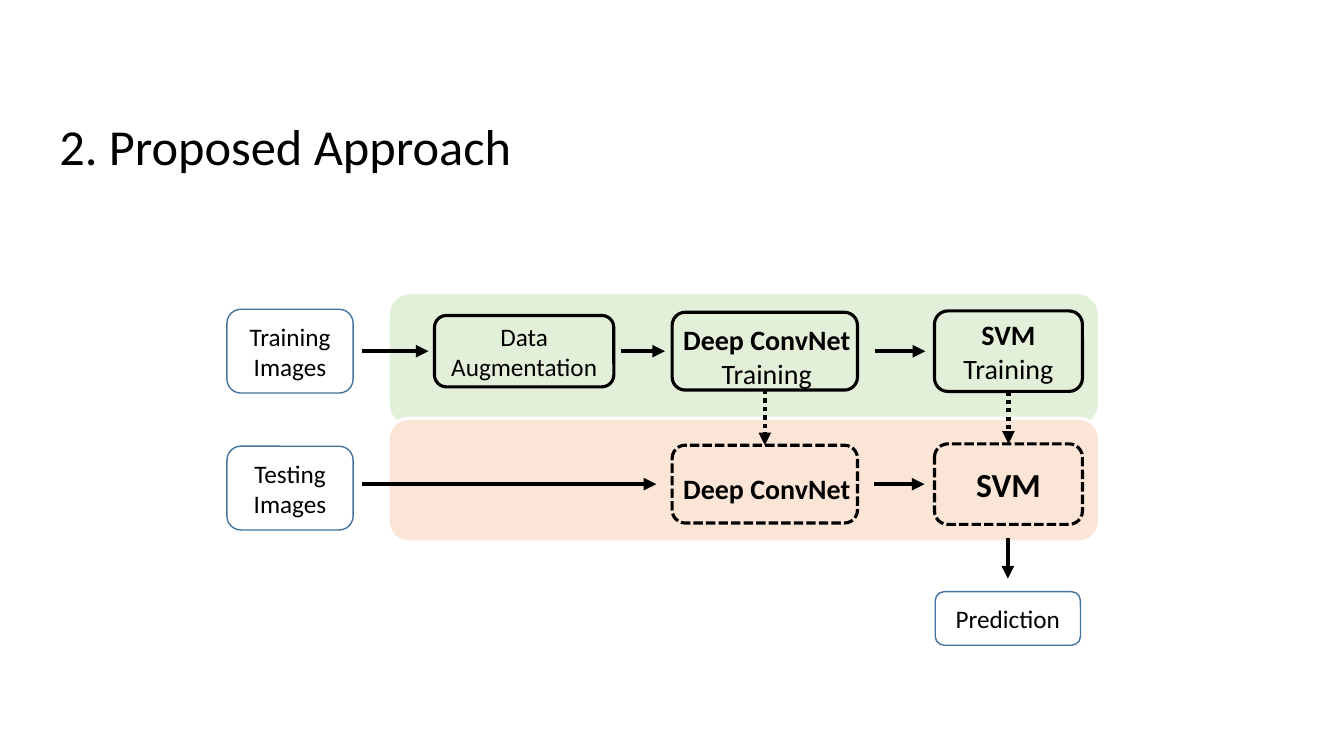
from dataclasses import dataclass

from lxml import etree
from pptx import Presentation
from pptx import util as u
from pptx.dml import color
from pptx.enum import dml, shapes, text
from pptx.oxml import ns


@dataclass(frozen=True)
class Theme:
    """Colours, type sizes and line widths."""
    ink: str = "000000"
    white: str = "FFFFFF"
    blue: str = "43739E"
    green: str = "E2F0D9"
    peach: str = "FBE5D6"
    font: str = "Calibri"
    head: int = 36
    large: int = 24
    mid: int = 20
    small: int = 18
    thin: float = 1
    edge: float = 2.25
    thick: float = 3


THEME = Theme()
DASH = dml.MSO_LINE.SQUARE_DOT
DOTS = dml.MSO_LINE.ROUND_DOT
INPUT = (-4.06, 3.18, 2.11)
DATA = (1.17, 4.52, 1.8)
NET = (7.16, 4.67, 1.96)
SVM = (13.77, 3.73, 2.03)


def write(frame, words, size=THEME.small, strong=0, align=text.PP_ALIGN.CENTER):
    """Fill a text frame line by line, the first `strong` lines in bold."""
    frame.word_wrap = True
    frame.vertical_anchor = text.MSO_ANCHOR.MIDDLE
    for i, line in enumerate(words.split("\n")):
        para = frame.paragraphs[0] if i == 0 else frame.add_paragraph()
        para.alignment = align
        run = para.add_run()
        run.text = line
        run.font.name = THEME.font
        run.font.size = u.Pt(size)
        run.font.bold = i < strong
        run.font.color.rgb = color.RGBColor.from_string(THEME.ink)


def stroke(line, tint, width, dash=None):
    """Set the colour, width and dash of a line."""
    line.color.rgb = color.RGBColor.from_string(tint)
    line.width = u.Pt(width)
    if dash:
        line.dash_style = dash


def panel(slide, box, fill=None, tint=THEME.ink, width=THEME.edge, dash=None):
    """Draw a rounded box."""
    shape = slide.shapes.add_shape(
        shapes.MSO_SHAPE.ROUNDED_RECTANGLE, *map(u.Cm, box))
    shape.shadow.inherit = False
    if fill:
        shape.fill.solid()
        shape.fill.fore_color.rgb = color.RGBColor.from_string(fill)
    else:
        shape.fill.background()
    stroke(shape.line, tint, width, dash)
    return shape


def arrow(slide, start, end, dash=None):
    """Draw a straight arrow between two points."""
    link = slide.shapes.add_connector(
        shapes.MSO_CONNECTOR.STRAIGHT, *map(u.Cm, (*start, *end)))
    stroke(link.line, THEME.ink, THEME.thick, dash)
    etree.SubElement(link.line._get_or_add_ln(), ns.qn("a:tailEnd"), type="triangle")
    etree.SubElement(link._element.spPr, ns.qn("a:effectLst"))
    return link


def lane(slide, box, fill, axis, steps, links):
    """Draw a lane with its steps centred on one axis, and return the steps."""
    left, top = box[:2]
    panel(slide, box, fill, THEME.white)
    nodes = []
    for (x, wide, high), shift, words, form, look in steps:
        place = (left + x, top + axis + shift - high / 2, wide, high)
        node = panel(slide, place, **look)
        write(node.text_frame, words, **form)
        nodes.append(node)
    for start, end in links:
        arrow(slide, (left + start, top + axis), (left + end, top + axis))
    return nodes


def pad(node, drop):
    """Narrow the side insets of a node and lower its text."""
    frame = node.text_frame
    frame.margin_left, frame.margin_right = u.Cm(0.1), u.Cm(0)
    frame.margin_top, frame.margin_bottom = u.Cm(drop), u.Cm(0)


def train(slide, box):
    """Draw the training lane."""
    steps = [
        (INPUT, 0, "Training Images", {}, dict(tint=THEME.blue, width=THEME.thin)),
        (DATA, 0, "Data Augmentation", {}, {}),
        (NET, 0, "Deep ConvNet\nTraining", dict(size=THEME.mid, strong=1), {}),
        (SVM, 0, "SVM\nTraining", dict(size=THEME.mid, strong=1), {}),
    ]
    links = [(-0.66, 1.02), (5.87, 6.98), (12.27, 13.54)]
    nodes = lane(slide, box, THEME.green, 1.48, steps, links)
    pad(nodes[2], 0.25)
    return nodes[2:]


def test(slide, box):
    """Draw the testing lane."""
    steps = [
        (INPUT, 0.1, "Testing\nImages", {}, dict(tint=THEME.blue, width=THEME.thin)),
        (NET, 0, "Deep ConvNet", dict(size=THEME.mid, strong=1), dict(dash=DASH)),
        (SVM, 0, "SVM", dict(size=THEME.large, strong=1), dict(dash=DASH)),
    ]
    links = [(-0.66, 6.76), (12.25, 13.52)]
    nodes = lane(slide, box, THEME.peach, 1.66, steps, links)
    pad(nodes[1], 0.2)
    return nodes[1:]


def result(slide, box):
    """Draw the prediction box and the arrow above it."""
    left, top, wide, high = box
    node = panel(slide, box, tint=THEME.blue, width=THEME.thin)
    write(node.text_frame, "Prediction")
    mid = left + wide / 2
    arrow(slide, (mid, top - 1.35), (mid, top - 0.33))


def title(slide, box):
    """Place and fill the title."""
    head = slide.shapes.title
    head.left, head.top, head.width, head.height = map(u.Cm, box)
    write(head.text_frame, "2. Proposed Approach", size=THEME.head,
          align=text.PP_ALIGN.LEFT)


def main():
    """Build the slide and save it."""
    deck = Presentation()
    deck.slide_width, deck.slide_height = u.Cm(33.87), u.Cm(19.05)
    slide = deck.slides.add_slide(deck.slide_layouts[5])
    title(slide, (1.24, 2.77, 13.46, 1.8))
    upper = train(slide, (9.78, 7.37, 17.93, 3.38))
    lower = test(slide, (9.78, 10.54, 17.93, 3.12))
    for above, below in zip(upper, lower):
        link = arrow(slide, (0, 0), (0, 0), DOTS)
        link.begin_connect(above, 2)
        link.end_connect(below, 0)
    result(slide, (23.57, 14.91, 3.66, 1.35))
    deck.save("out.pptx")


if __name__ == "__main__":
    main()
